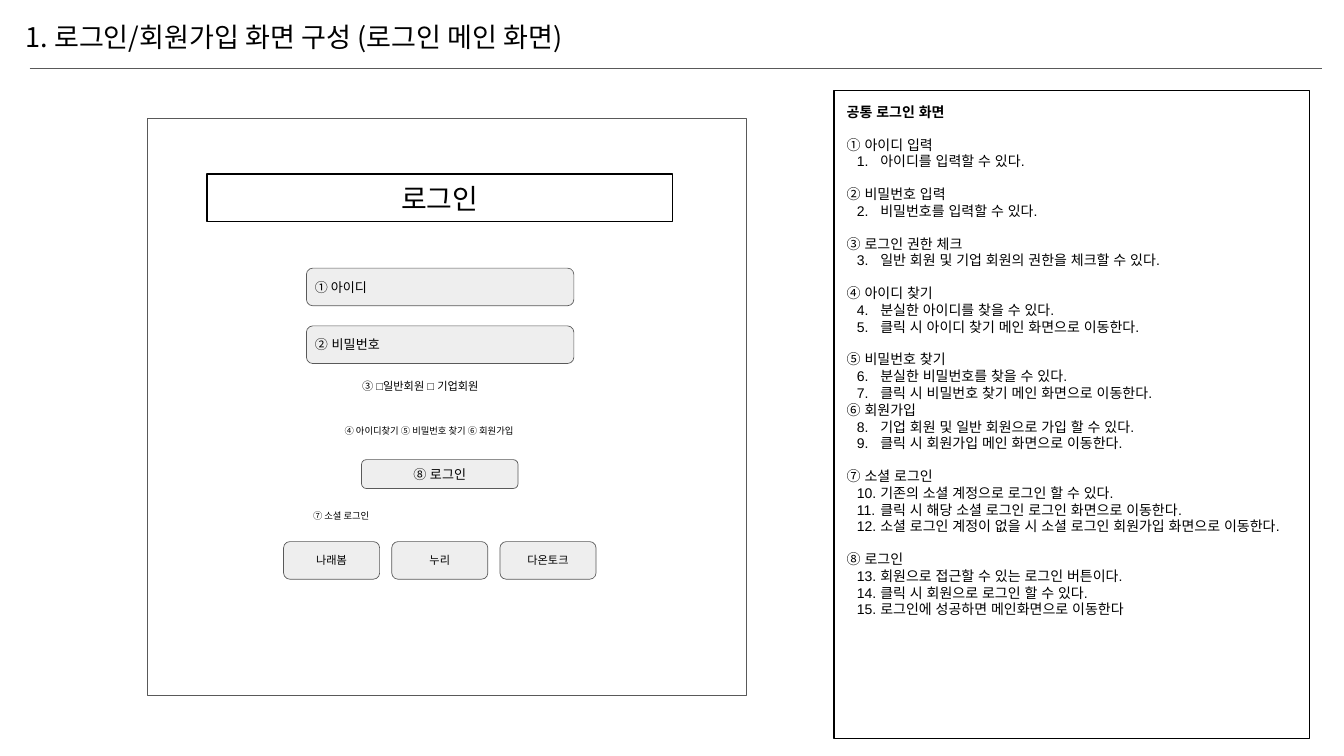
import pptx
import pptx.dml.color
import pptx.enum.shapes
import pptx.enum.text
import pptx.oxml
import pptx.oxml.ns
import pptx.util
from lxml import etree

PX = 9144  # EMU; 100 px to the inch
BLACK = pptx.dml.color.RGBColor(0x00, 0x00, 0x00)
GRAY = pptx.dml.color.RGBColor(0x59, 0x59, 0x59)
PALE = pptx.dml.color.RGBColor(0xEE, 0xEE, 0xEE)
NOTO, ARIAL = "Noto Sans CJK KR", "Arial"
RECT = pptx.enum.shapes.MSO_SHAPE.RECTANGLE
ROUNDED = pptx.enum.shapes.MSO_SHAPE.ROUNDED_RECTANGLE
LEFT, CENTER = pptx.enum.text.PP_ALIGN.LEFT, pptx.enum.text.PP_ALIGN.CENTER
TOP, MIDDLE = pptx.enum.text.MSO_ANCHOR.TOP, pptx.enum.text.MSO_ANCHOR.MIDDLE

TITLE = "1. 로그인/회원가입 화면 구성 (로그인 메인 화면)"
# text, box, size, font, alignment
FIELDS_AND_BUTTONS = [
    ("① 아이디", (456, 399, 398, 56), 14, NOTO, LEFT),
    ("② 비밀번호", (456, 485, 398, 56), 14, ARIAL, LEFT),
    ("⑧ 로그인", (538, 684, 233, 43), 14, ARIAL, CENTER),
]
LABELS = [
    ("③ □일반회원 □ 기업회원", (529, 555, 252, 40), 12, ARIAL),
    ("④ 아이디찾기 ⑤ 비밀번호 찾기 ⑥ 회원가입", (503, 625, 326, 37), 10, NOTO),
    ("⑦ 소셜 로그인", (456, 751, 398, 37), 10, NOTO),
]
SOCIAL_LOGINS = ["나래봄", "누리", "다온토크"]
SOCIAL_LEFT, SOCIAL_TOP, SOCIAL_WIDTH, SOCIAL_PITCH = 422, 806, 143, 161

NOTES_TITLE = "공통 로그인 화면"
# heading, gap before in points, numbered items
NOTES = [
    ("① 아이디 입력", 17, ["아이디를 입력할 수 있다."]),
    ("② 비밀번호 입력", 17, ["비밀번호를 입력할 수 있다."]),
    ("③ 로그인 권한 체크", 17, ["일반 회원 및 기업 회원의 권한을 체크할 수 있다."]),
    ("④ 아이디 찾기", 17, ["분실한 아이디를 찾을 수 있다.",
                       "클릭 시 아이디 찾기 메인 화면으로 이동한다."]),
    ("⑤ 비밀번호 찾기", 17, ["분실한 비밀번호를 찾을 수 있다.",
                        "클릭 시 비밀번호 찾기 메인 화면으로 이동한다."]),
    ("⑥ 회원가입", 0, ["기업 회원 및 일반 회원으로 가입 할 수 있다.",
                    "클릭 시 회원가입 메인 화면으로 이동한다."]),
    ("⑦ 소셜 로그인", 17, ["기존의 소셜 계정으로 로그인 할 수 있다.",
                       "클릭 시 해당 소셜 로그인 로그인 화면으로 이동한다.",
                       "소셜 로그인 계정이 없을 시 소셜 로그인 회원가입 화면으로 이동한다."]),
    ("⑧ 로그인", 17, ["회원으로 접근할 수 있는 로그인 버튼이다.",
                    "클릭 시 회원으로 로그인 할 수 있다.",
                    "로그인에 성공하면 메인화면으로 이동한다"]),
]


def add_box(slide, preset, box, line_color, line_width, fill=None):
    shape = slide.shapes.add_shape(preset, *[value * PX for value in box])
    shape.shadow.inherit = False
    if fill is None:
        shape.fill.background()
    else:
        shape.fill.solid()
        shape.fill.fore_color.rgb = fill
    shape.line.color.rgb = line_color
    shape.line.width = pptx.util.Pt(line_width)
    return shape


def add_text_box(slide, box):
    return slide.shapes.add_textbox(*[value * PX for value in box])


def prepare_frame(shape, inset, anchor):
    frame = shape.text_frame
    frame.word_wrap = True
    frame.vertical_anchor = anchor
    frame.margin_left = frame.margin_right = inset * PX
    frame.margin_top = frame.margin_bottom = inset * PX
    return frame


def add_run(paragraph, text, size, font_name, bold=False):
    run = paragraph.add_run()
    run.text = text
    run.font.size = pptx.util.Pt(size)
    run.font.name = font_name
    run.font.bold = bold
    run.font.color.rgb = BLACK
    for tag in ("a:ea", "a:cs"):
        etree.SubElement(run.font._element, pptx.oxml.ns.qn(tag), typeface=font_name)


def write_line(shape, text, size, font_name, alignment=LEFT, anchor=MIDDLE, inset=10):
    frame = prepare_frame(shape, inset, anchor)
    paragraph = frame.paragraphs[0]
    paragraph.alignment = alignment
    add_run(paragraph, text, size, font_name)
    return frame


def number_paragraph(paragraph, number):
    properties = paragraph._p.get_or_add_pPr()
    properties.set("marL", str(50 * PX))
    properties.set("indent", str(-35 * PX))
    color = etree.SubElement(properties, pptx.oxml.ns.qn("a:buClr"))
    etree.SubElement(color, pptx.oxml.ns.qn("a:srgbClr"), val=str(BLACK))
    etree.SubElement(properties, pptx.oxml.ns.qn("a:buFont"), typeface=ARIAL)
    etree.SubElement(properties, pptx.oxml.ns.qn("a:buAutoNum"),
                     type="arabicPeriod", startAt=str(number))


def add_header(slide):
    frame = write_line(add_text_box(slide, (0, 0, 2000, 109)), TITLE, 29, NOTO, inset=19)
    frame.margin_left = 38 * PX
    rule = slide.shapes.add_connector(pptx.enum.shapes.MSO_CONNECTOR.STRAIGHT,
                                      44 * PX, 101 * PX, 1968 * PX, 101 * PX)
    rule.line.color.rgb = GRAY
    rule.line.width = pptx.util.Pt(0.75)
    etree.SubElement(rule._element.spPr, pptx.oxml.ns.qn("a:effectLst"))


def add_login_screen(slide):
    add_box(slide, RECT, (220, 176, 891, 859), GRAY, 0.75)
    heading = add_box(slide, RECT, (308, 259, 693, 71), BLACK, 1.5)
    write_line(heading, "로그인", 30, NOTO, CENTER)
    social_buttons = [
        (name, (SOCIAL_LEFT + index * SOCIAL_PITCH, SOCIAL_TOP, SOCIAL_WIDTH, 56),
         12, NOTO, CENTER)
        for index, name in enumerate(SOCIAL_LOGINS)
    ]
    for text, box, size, font_name, alignment in FIELDS_AND_BUTTONS + social_buttons:
        button = add_box(slide, ROUNDED, box, GRAY, 0.75, PALE)
        write_line(button, text, size, font_name, alignment)
    for text, box, size, font_name in LABELS:
        write_line(add_text_box(slide, box), text, size, font_name, anchor=TOP)


def add_notes_panel(slide):
    panel = add_box(slide, RECT, (1241, 135, 708, 964), BLACK, 1.5)
    frame = prepare_frame(panel, 19, TOP)
    paragraph = frame.paragraphs[0]
    paragraph.alignment = LEFT
    add_run(paragraph, NOTES_TITLE, 15, ARIAL, bold=True)
    number = 0
    for heading, gap, items in NOTES:
        paragraph = frame.add_paragraph()
        paragraph.alignment = LEFT
        paragraph.space_before = pptx.util.Pt(gap)
        add_run(paragraph, heading, 15, ARIAL)
        for item in items:
            number += 1
            paragraph = frame.add_paragraph()
            paragraph.alignment = LEFT
            number_paragraph(paragraph, number)
            add_run(paragraph, item, 15, ARIAL)


def main():
    presentation = pptx.Presentation()
    presentation.slide_width = 2000 * PX
    presentation.slide_height = 1125 * PX
    slide = presentation.slides.add_slide(presentation.slide_layouts[6])
    add_header(slide)
    add_login_screen(slide)
    add_notes_panel(slide)
    presentation.save("out.pptx")


if __name__ == "__main__":
    main()
